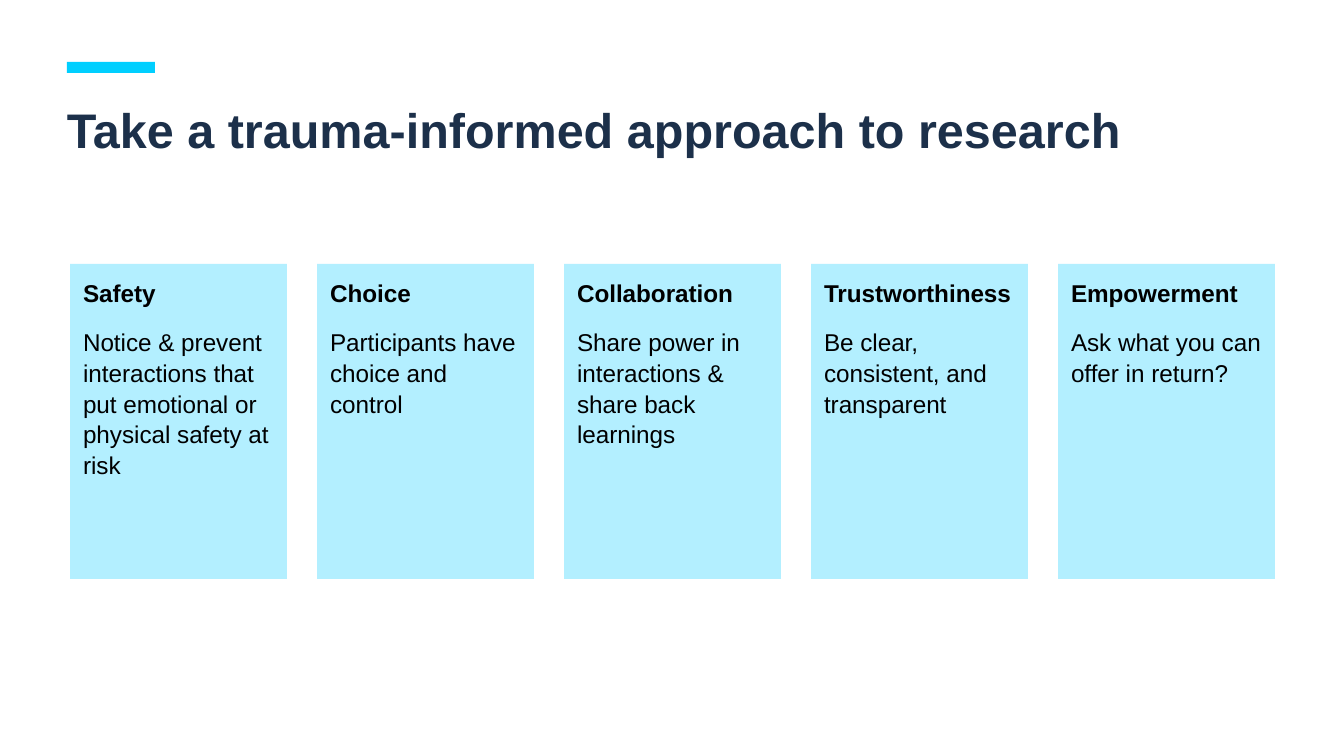
from dataclasses import dataclass

from pptx import Presentation
from pptx.dml.color import RGBColor
from pptx.enum.shapes import MSO_SHAPE
from pptx.enum.text import MSO_ANCHOR, PP_ALIGN
from pptx.util import Pt

PAGE_WIDTH, PAGE_HEIGHT = 1344, 756
EMU_PER_PX = 9144000 / PAGE_WIDTH

CARD_LEFT, CARD_TOP = 70, 264
CARD_WIDTH, CARD_HEIGHT = 217, 315
CARD_GAP = 30
CARD_INSET = 13

CARDS = [
    ("Safety", "Notice & prevent interactions that put emotional or physical safety at risk"),
    ("Choice", "Participants have choice and control"),
    ("Collaboration", "Share power in interactions & share back learnings"),
    ("Trustworthiness", "Be clear, consistent, and transparent"),
    ("Empowerment", "Ask what you can offer in return?"),
]


@dataclass(frozen=True)
class Theme:
    font: str = "Arial"
    accent: RGBColor = RGBColor(0x00, 0xCF, 0xFF)
    card: RGBColor = RGBColor(0xB3, 0xEF, 0xFF)
    title: RGBColor = RGBColor(0x1C, 0x30, 0x4A)
    body: RGBColor = RGBColor(0x00, 0x00, 0x00)
    title_size: int = 26
    body_size: int = 13


THEME = Theme()


def px(length):
    return round(length * EMU_PER_PX)


def add_block(page, left, top, width, height, color):
    """Add a plain filled rectangle."""
    block = page.shapes.add_shape(
        MSO_SHAPE.RECTANGLE, px(left), px(top), px(width), px(height)
    )
    block.shadow.inherit = False
    block.fill.solid()
    block.fill.fore_color.rgb = color
    block.line.fill.background()
    return block


def set_frame(frame, inset):
    frame.word_wrap = True
    frame.vertical_anchor = MSO_ANCHOR.TOP
    frame.margin_left = frame.margin_right = px(inset)
    frame.margin_top = frame.margin_bottom = px(inset)


def write(para, text, size, color, bold, line_spacing):
    para.text = text
    para.alignment = PP_ALIGN.LEFT
    para.line_spacing = line_spacing
    para.font.name = THEME.font
    para.font.size = Pt(size)
    para.font.bold = bold
    para.font.color.rgb = color


def add_title(page, text):
    box = page.shapes.add_textbox(px(67), px(94), px(1098), px(124))
    set_frame(box.text_frame, 0)
    write(box.text_frame.paragraphs[0], text, THEME.title_size, THEME.title, True, 1.1)


def add_card(page, left, heading, description):
    card = add_block(page, left, CARD_TOP, CARD_WIDTH, CARD_HEIGHT, THEME.card)
    frame = card.text_frame
    set_frame(frame, CARD_INSET)
    write(frame.paragraphs[0], heading, THEME.body_size, THEME.body, True, 1.05)
    para = frame.add_paragraph()
    write(para, description, THEME.body_size, THEME.body, False, 1.05)
    para.space_before = Pt(10)


def main():
    deck = Presentation()
    deck.slide_width, deck.slide_height = px(PAGE_WIDTH), px(PAGE_HEIGHT)
    page = deck.slides.add_slide(deck.slide_layouts[6])

    # Accent bar and title
    add_block(page, 67, 62, 88, 11, THEME.accent)
    add_title(page, "Take a trauma-informed approach to research")

    # Row of principle cards
    for index, (heading, description) in enumerate(CARDS):
        left = CARD_LEFT + index * (CARD_WIDTH + CARD_GAP)
        add_card(page, left, heading, description)

    deck.save("out.pptx")


if __name__ == "__main__":
    main()
